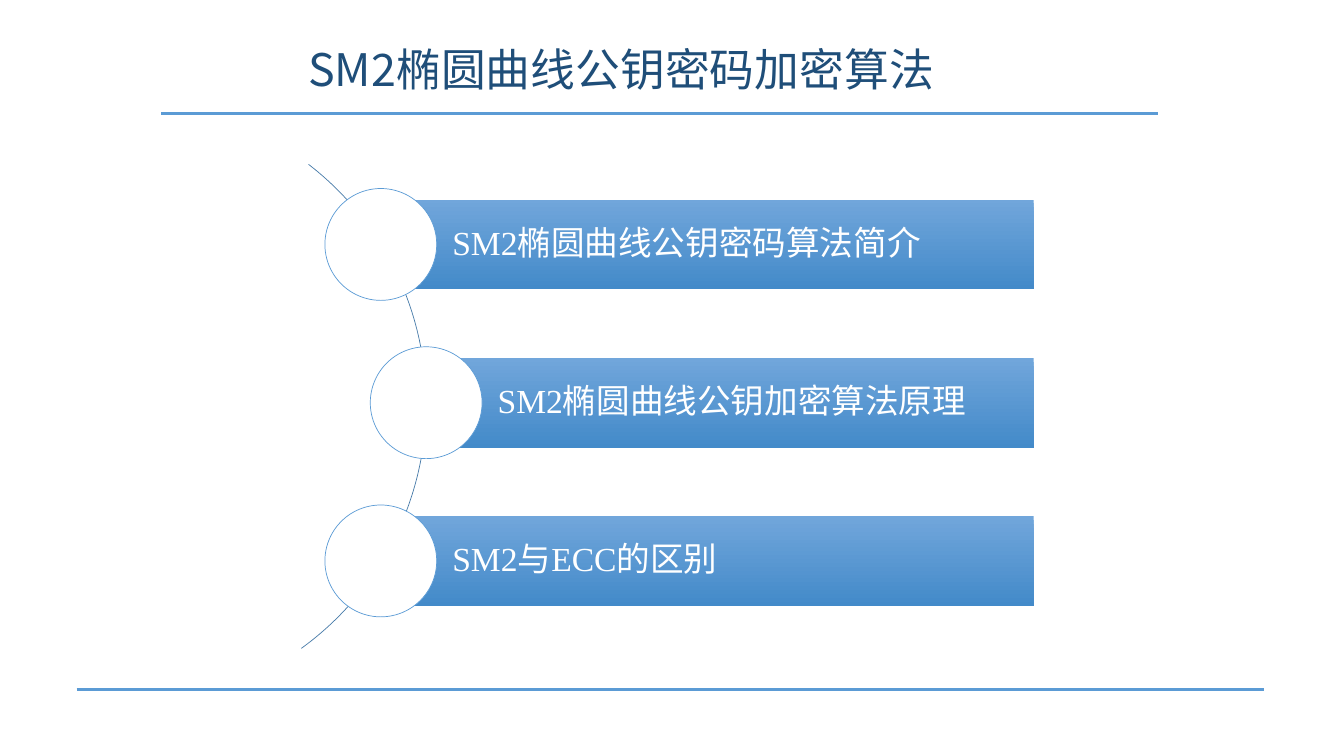
import pptx
import pptx.util
import pptx.dml.color
import pptx.enum.shapes
import pptx.enum.text
import pptx.oxml
import pptx.oxml.ns

Inches = pptx.util.Inches
Pt = pptx.util.Pt
Shape = pptx.enum.shapes.MSO_SHAPE
Color = pptx.dml.color.RGBColor.from_string
theme = {
    "title": "1F4E79", "rule": "5B9BD5", "arc": "477BA9",
    "top": "71A6DB", "base": "438AC9", "white": "FFFFFF",
    "head": 32, "body": 24, "sans": "Noto Sans CJK SC", "serif": "Times New Roman",
}


def write(shape, text, size, face, color, insets):
    frame = shape.text_frame
    form = {
        "word_wrap": True,
        "auto_size": pptx.enum.text.MSO_AUTO_SIZE.NONE,
        "vertical_anchor": pptx.enum.text.MSO_ANCHOR.MIDDLE,
    }
    for key, value in form.items():
        setattr(frame, key, value)
    for side, inset in zip(("left", "top", "right", "bottom"), insets):
        setattr(frame, "margin_" + side, Inches(inset))
    para = frame.paragraphs[0]
    para.alignment = pptx.enum.text.PP_ALIGN.LEFT
    para.line_spacing = 0.9
    run = para.add_run()
    run.text = text
    for key, value in {"size": Pt(theme[size]), "name": theme[face], "bold": False}.items():
        setattr(run.font, key, value)
    run.font.color.rgb = Color(theme[color])
    east = pptx.oxml.parse_xml(
        f'<a:ea {pptx.oxml.ns.nsdecls("a")} typeface="{theme["sans"]}"/>')
    run.font._element.append(east)


def add(kind, left, top, wide, high, edge=None):
    shape = slide.shapes.add_shape(kind, *map(Inches, (left, top, wide, high)))
    shape.shadow.inherit = False
    if edge:
        shape.line.color.rgb = Color(theme[edge])
        shape.line.width = Pt(0.5)
    else:
        shape.line.fill.background()
    return shape


deck = pptx.Presentation()
deck.slide_width = Inches(13.34)
deck.slide_height = Inches(7.5)
slide = deck.slides.add_slide(deck.slide_layouts[5])

title = slide.shapes.title
place = {"left": 2.96, "top": 0.35, "width": 7.41, "height": 0.73}
for key, value in place.items():
    setattr(title, key, Inches(value))
write(title, "SM2椭圆曲线公钥密码加密算法", "head", "sans", "title", (0.1, 0.05, 0.1, 0.05))

for start, end, level in ((1.6, 11.49, 1.13), (0.76, 12.55, 6.84)):
    rule = slide.shapes.add_connector(
        pptx.enum.shapes.MSO_CONNECTOR.STRAIGHT,
        *map(Inches, (start, level, end, level)))
    rule.line.color.rgb = Color(theme["rule"])
    rule.line.width = Pt(2.25)
    rule._element.spPr.append(
        pptx.oxml.parse_xml(f'<a:effectLst {pptx.oxml.ns.nsdecls("a")}/>'))

arc = add(Shape.ARC, -1.75, 1.01, 5.98, 5.99, "arc")
arc.fill.background()
for index, degrees in enumerate((307.5, 54.2)):
    arc.adjustments[index] = degrees * 0.6

right, first, pitch = 10.26, 2.425, 1.57
high, disc = 0.89, 1.11
topics = (
    (3.78, "SM2椭圆曲线公钥密码算法简介"),
    (4.23, "SM2椭圆曲线公钥加密算法原理"),
    (3.78, "SM2与ECC的区别"),
)
for row, (left, text) in enumerate(topics):
    mid = first + row * pitch
    bar = add(Shape.RECTANGLE, left, mid - high / 2, right - left, high)
    bar.fill.gradient()
    bar.fill.gradient_angle = 270
    for stop, spot, shade in zip(bar.fill.gradient_stops, (0, 1), ("top", "base")):
        stop.position = spot
        stop.color.rgb = Color(theme[shade])
    write(bar, text, "body", "serif", "white", (0.71, 0.07, 0.07, 0.07))
    dot = add(Shape.OVAL, left - disc / 2, mid - disc / 2, disc, disc, "rule")
    dot.fill.solid()
    dot.fill.fore_color.rgb = Color(theme["white"])

deck.save("out.pptx")
